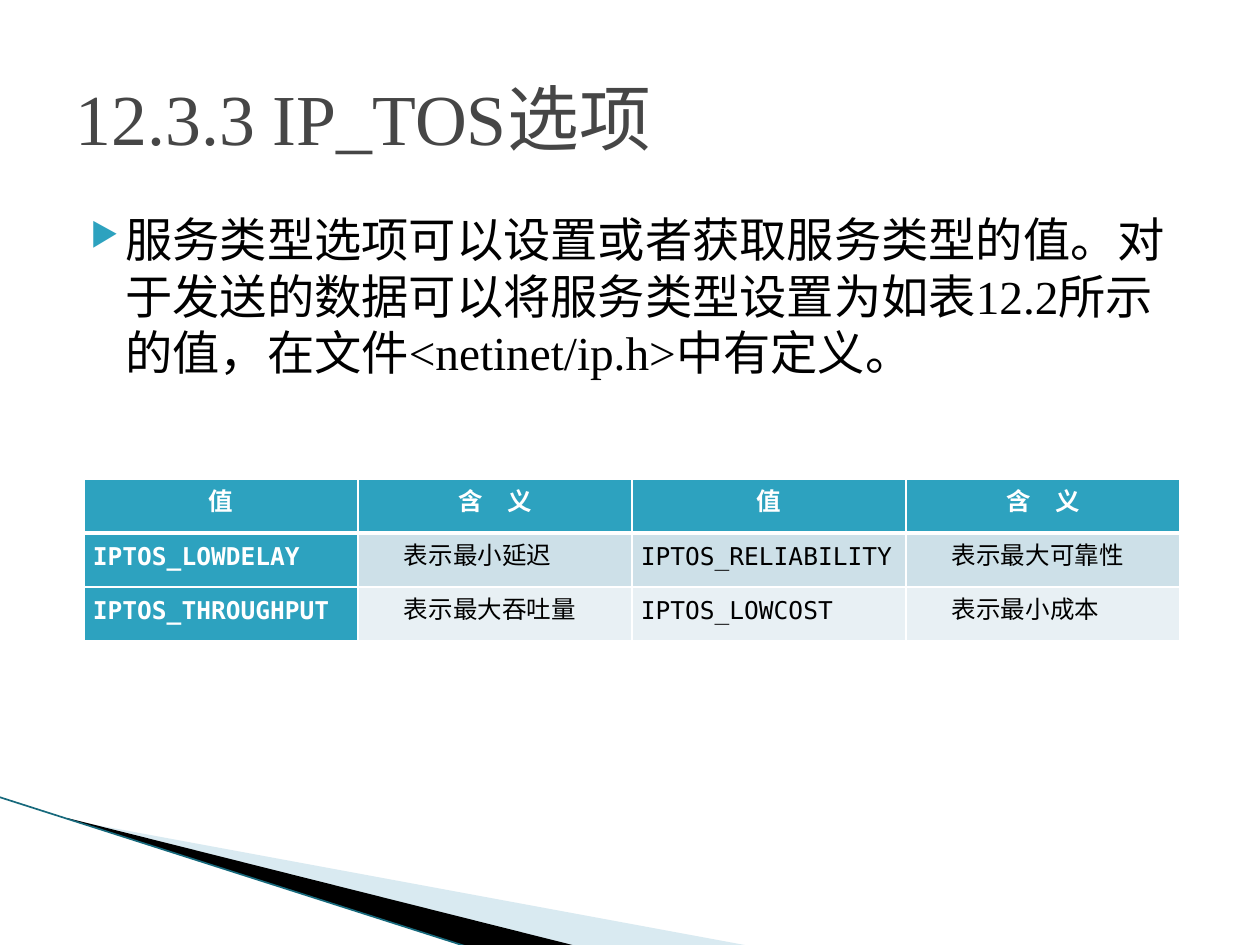
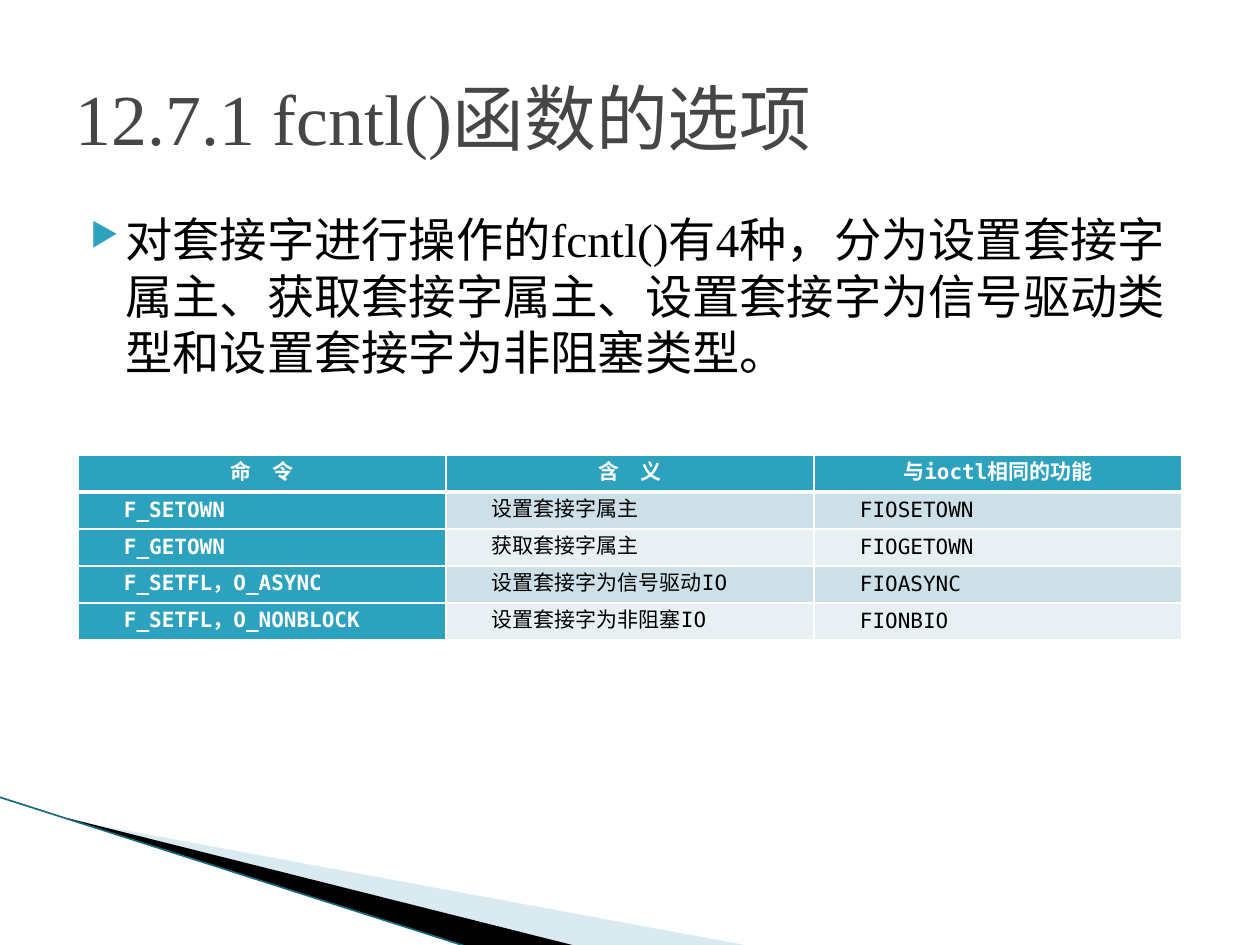
from lxml import etree
from pptx import Presentation
from pptx.dml.color import RGBColor
from pptx.enum.shapes import MSO_CONNECTOR
from pptx.enum.text import MSO_ANCHOR, MSO_AUTO_SIZE, PP_ALIGN
from pptx.oxml.ns import qn
from pptx.util import Pt

LINE = MSO_CONNECTOR.STRAIGHT
MID = MSO_ANCHOR.MIDDLE
FIXED = MSO_AUTO_SIZE.NONE
LEFT, MIDST, FULL = PP_ALIGN.LEFT, PP_ALIGN.CENTER, PP_ALIGN.JUSTIFY
PX = 914400 / 126
SERIF, MONO = "Times New Roman", "DejaVu Sans Mono"
HUES = {
    "title": "464646", "text": "000000", "white": "FFFFFF", "teal": "2DA2BF",
    "odd": "CDE0E8", "even": "E8F0F4", "pale": "A0CBDC", "edge": "17697C",
}
WEDGES = [
    ("pale", [(69, 820), (750, 946), (575, 946), (69, 819)]),
    ("text", [(67, 818), (576, 946), (469, 947), (68, 819)]),
]
PAGES = [
    {
        "title": "12.3.3 IP_TOS选项",
        "body": "服务类型选项可以设置或者获取服务类型的值。对于发送的数据可以将服务类型"
                "设置为如表12.2所示的值，在文件<netinet/ip.h>中有定义。",
        "left": 84, "top": 479, "wide": 274, "high": 54,
        "size": 14, "before": 0, "after": 1, "dented": (1, 3),
        "rows": [
            ["值", "含　义", "值", "含　义"],
            ["IPTOS_LOWDELAY", "表示最小延迟", "IPTOS_RELIABILITY", "表示最大可靠性"],
            ["IPTOS_THROUGHPUT", "表示最大吞吐量", "IPTOS_LOWCOST", "表示最小成本"],
        ],
    },
    {
        "title": "12.7.1 fcntl()函数的选项",
        "body": "对套接字进行操作的fcntl()有4种，分为设置套接字属主、获取套接字属主、"
                "设置套接字为信号驱动类型和设置套接字为非阻塞类型。",
        "left": 78, "top": 455, "wide": 368, "high": 37,
        "size": 12, "before": 2, "after": 2, "dented": (0, 1, 2),
        "rows": [
            ["命　令", "含　义", "与ioctl相同的功能"],
            ["F_SETOWN", "设置套接字属主", "FIOSETOWN"],
            ["F_GETOWN", "获取套接字属主", "FIOGETOWN"],
            ["F_SETFL，O_ASYNC", "设置套接字为信号驱动IO", "FIOASYNC"],
            ["F_SETFL，O_NONBLOCK", "设置套接字为非阻塞IO", "FIONBIO"],
        ],
    },
]


def px(*nums):
    return [round(num * PX) for num in nums]


def write(para, text, size, font, hue, bold=False):
    run = para.add_run()
    run.text = text
    run.font.size = Pt(size)
    run.font.name = font
    run.font.bold = bold
    run.font.color.rgb = RGBColor.from_string(HUES[hue])


deck = Presentation()
deck.slide_width, deck.slide_height = px(1260, 945)

for page in PAGES:
    slide = deck.slides.add_slide(deck.slide_layouts[5])
    shapes = slide.shapes

    for hue, spots in WEDGES:
        build = shapes.build_freeform(*spots[0], scale=PX)
        build.add_line_segments(spots[1:], close=True)
        wedge = build.convert_to_shape()
        wedge.shadow.inherit = False
        wedge.fill.solid()
        wedge.fill.fore_color.rgb = RGBColor.from_string(HUES[hue])
        wedge.line.fill.background()
        if hue == "pale":
            tint = next(wedge.element.iter(qn("a:srgbClr")))
            etree.SubElement(tint, qn("a:alpha"), val="40000")

    edge = shapes.add_connector(LINE, *px(-1, 797, 468, 947))
    edge.line.color.rgb = RGBColor.from_string(HUES["edge"])
    edge.line.width = Pt(0.95)
    etree.SubElement(edge.element.spPr, qn("a:effectLst"))

    title = shapes.title
    title.left, title.top, title.width, title.height = px(63, 38, 1134, 158)
    frame = title.text_frame
    frame.auto_size = FIXED
    frame.vertical_anchor = MID
    para = frame.paragraphs[0]
    para.alignment = LEFT
    write(para, page["title"], 41, SERIF, "title")

    body = shapes.add_textbox(*px(63, 204, 1134, 624))
    frame = body.text_frame
    frame.word_wrap = True
    para = frame.paragraphs[0]
    para.space_before = Pt(4)
    write(para, page["body"], 27, SERIF, "text")
    props = para._p.get_or_add_pPr()
    hang, dent = px(50, -35)
    props.set("marL", str(hang))
    props.set("indent", str(dent))
    tint = etree.SubElement(props, qn("a:buClr"))
    etree.SubElement(tint, qn("a:srgbClr"), val=HUES["teal"])
    etree.SubElement(props, qn("a:buSzPct"), val="68000")
    etree.SubElement(props, qn("a:buChar"), char="▶")

    rows = page["rows"]
    count, span = len(rows), len(rows[0])
    wide, high = page["wide"], page["high"]
    place = px(page["left"], page["top"], wide * span, high * count)
    table = shapes.add_table(count, span, *place).table
    for col in table.columns:
        col.width = px(wide)[0]
    for r, row in enumerate(rows):
        table.rows[r].height = px(high)[0]
        for c, text in enumerate(row):
            cell = table.cell(r, c)
            cell.vertical_anchor = MID
            cell.margin_left, cell.margin_right = px(9, 9)
            cell.margin_top = cell.margin_bottom = 0
            props = cell._tc.get_or_add_tcPr()
            for side in "LRTB":
                thick = (r, side) in ((0, "B"), (1, "T"))
                rule = etree.SubElement(props, qn("a:ln" + side), w=str(Pt(3 if thick else 1)))
                paint = etree.SubElement(rule, qn("a:solidFill"))
                etree.SubElement(paint, qn("a:srgbClr"), val=HUES["white"])
            head = r == 0 or c == 0
            fill = "teal" if head else "odd" if r % 2 else "even"
            cell.fill.solid()
            cell.fill.fore_color.rgb = RGBColor.from_string(HUES[fill])
            para = cell.text_frame.paragraphs[0]
            para.alignment = FULL if r else MIDST
            para.line_spacing = Pt(13.5)
            para.space_before = Pt(page["before"])
            para.space_after = Pt(page["after"])
            if r and c in page["dented"]:
                para._p.get_or_add_pPr().set("indent", str(px(37)[0]))
            write(para, text, page["size"], MONO, "white" if head else "text", head)

deck.save("out.pptx")
